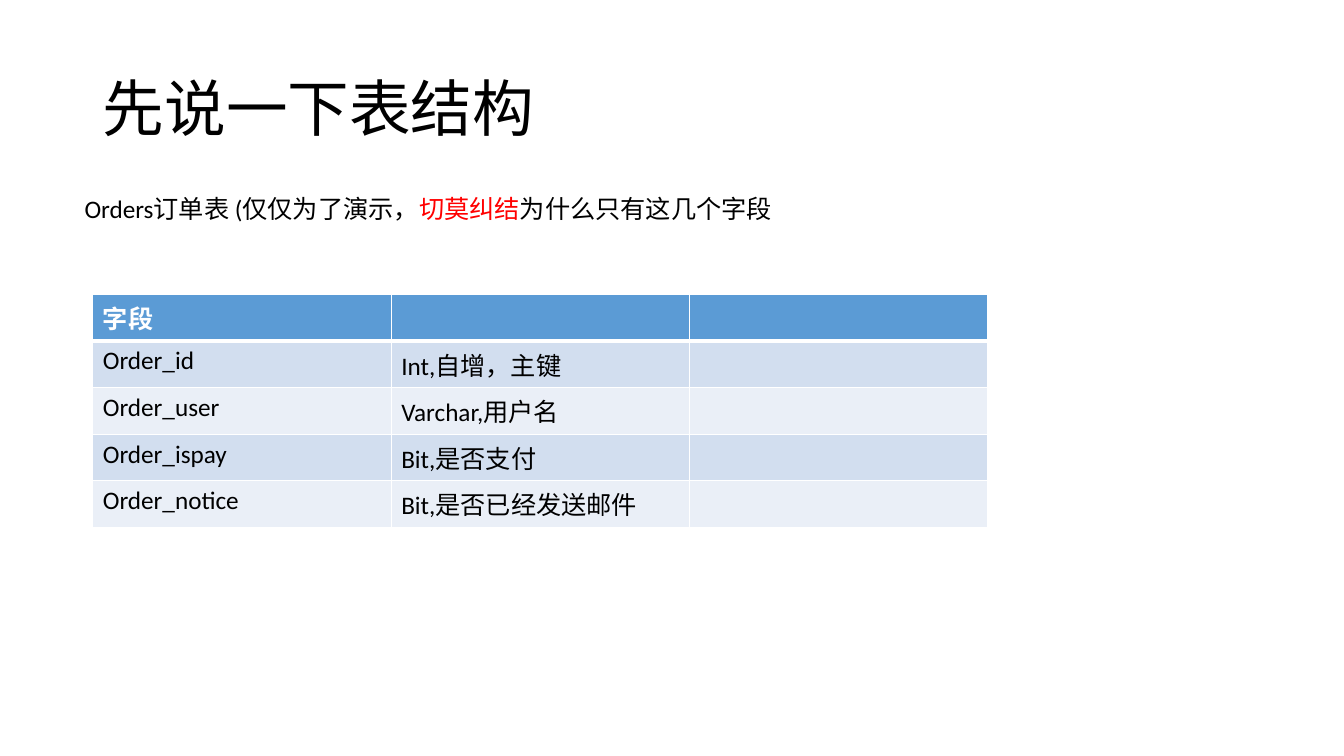
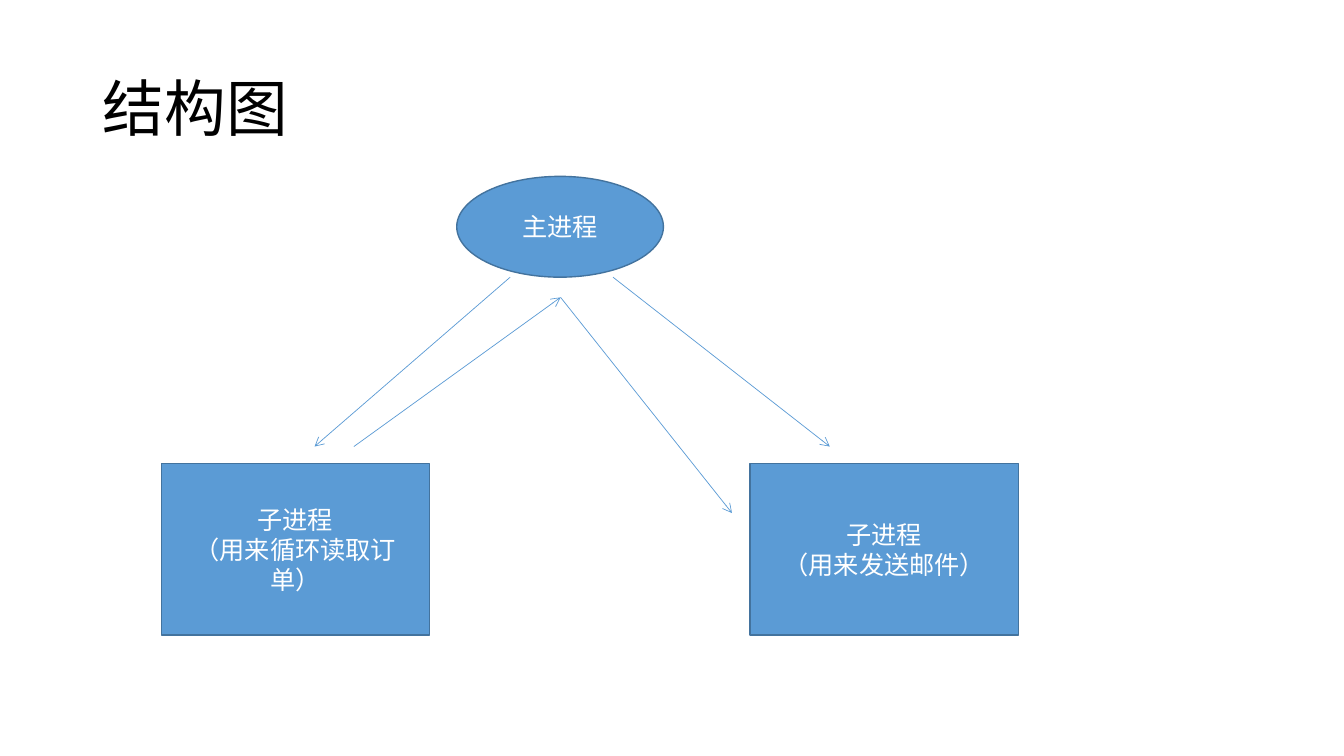
import pptx
import pptx.util
import pptx.dml.color
import pptx.enum.shapes
import pptx.enum.text
import pptx.oxml.ns
import lxml.etree

Inches = pptx.util.Inches
Pt = pptx.util.Pt
Shape = pptx.enum.shapes.MSO_SHAPE
Align = pptx.enum.text.PP_ALIGN
Anchor = pptx.enum.text.MSO_ANCHOR


def color(name):
    return pptx.dml.color.RGBColor.from_string(Deck.hues[name])


def node(parent, tag, **attrs):
    return lxml.etree.SubElement(parent, pptx.oxml.ns.qn(tag), attrs)


class Deck:
    hues = {"black": "000000", "white": "FFFFFF", "red": "FF0000",
            "blue": "5B9BD5", "edge": "43739E", "dark": "D2DEEF", "light": "EAEFF7"}
    font = "Calibri"

    def __init__(self):
        self.prs = pptx.Presentation()
        self.prs.slide_width = Inches(13.33)
        self.prs.slide_height = Inches(7.5)
        self.slide = None

    def style(self, frame, hue="black", size=18, align=None, bold=False):
        for para in frame.paragraphs:
            if align is not None:
                para.alignment = align
            for run in para.runs:
                run.font.name = self.font
                run.font.size = Pt(size)
                run.font.bold = bold
                run.font.color.rgb = color(hue)

    def page(self, text):
        # Title Only layout
        self.slide = self.prs.slides.add_slide(self.prs.slide_layouts[5])
        title = self.slide.shapes.title
        title.left, title.top = Inches(0.92), Inches(0.38)
        title.width, title.height = Inches(11.5), Inches(1.45)
        frame = title.text_frame
        frame.text = text
        frame.vertical_anchor = Anchor.MIDDLE
        frame.paragraphs[0].line_spacing = 0.9
        self.style(frame, size=44, align=Align.JUSTIFY)

    def note(self, x, y, w, h, parts):
        box = self.slide.shapes.add_textbox(Inches(x), Inches(y), Inches(w), Inches(h))
        frame = box.text_frame
        frame.word_wrap = True
        para = frame.paragraphs[0]
        for text, hue in parts:
            para.add_run().text = text
        self.style(frame)
        for run, (text, hue) in zip(para.runs, parts):
            run.font.color.rgb = color(hue)

    def border(self, cell, base):
        props = cell._tc.get_or_add_tcPr()
        for side, width in (("L", 1), ("R", 1), ("T", 1), ("B", base)):
            line = node(props, "a:ln" + side, w=str(Pt(width)))
            node(node(line, "a:solidFill"), "a:srgbClr", val=self.hues["white"])

    def table(self, x, y, w, h, rows, cols):
        grid = self.slide.shapes.add_table(
            len(rows), cols, Inches(x), Inches(y), Inches(w), Inches(h)).table
        for r, row in enumerate(rows):
            head = r == 0
            fill = "blue" if head else ("light", "dark")[r % 2]
            for c in range(cols):
                cell = grid.cell(r, c)
                self.border(cell, 3 if head else 1)
                cell.fill.solid()
                cell.fill.fore_color.rgb = color(fill)
                if c < len(row):
                    cell.text_frame.text = row[c]
                    self.style(cell.text_frame, "white" if head else "black", bold=head)

    def block(self, kind, x, y, w, h, text):
        shape = self.slide.shapes.add_shape(kind, Inches(x), Inches(y), Inches(w), Inches(h))
        shape.shadow.inherit = False
        shape.fill.solid()
        shape.fill.fore_color.rgb = color("blue")
        shape.line.color.rgb = color("edge")
        shape.line.width = Pt(1)
        frame = shape.text_frame
        frame.text = text
        frame.word_wrap = True
        frame.vertical_anchor = Anchor.MIDDLE
        self.style(frame, "white", align=Align.CENTER)

    def arrow(self, start, end):
        line = self.slide.shapes.add_connector(
            pptx.enum.shapes.MSO_CONNECTOR.STRAIGHT, *map(Inches, start + end))
        line.line.color.rgb = color("blue")
        line.line.width = Pt(0.5)
        node(line.line._get_or_add_ln(), "a:tailEnd", type="arrow")
        node(line._element.spPr, "a:effectLst")


deck = Deck()

# Table structure
deck.page("先说一下表结构")
deck.table(0.92, 2.92, 8.88, 2.03, [
    ["字段"],
    ["Order_id", "Int,自增，主键"],
    ["Order_user", "Varchar,用户名"],
    ["Order_ispay", "Bit,是否支付"],
    ["Order_notice", "Bit,是否已经发送邮件"],
], 3)
deck.note(0.74, 1.87, 8.86, 0.4, [
    ("Orders订单表 (仅仅为了演示，", "black"),
    ("切莫纠结", "red"),
    ("为什么只有这几个字段", "black"),
])

# Process diagram
deck.page("结构图")
deck.block(Shape.OVAL, 4.53, 1.75, 2.05, 1, "主进程")
for left, job in ((1.6, "（用来循环读取订单）"), (7.44, "（用来发送邮件）")):
    deck.block(Shape.RECTANGLE, left, 4.6, 2.66, 1.7, "子进程\n" + job)

# Arrows between the processes
hub = (5.56, 2.95)
for start, end in (((5.06, 2.75), (3.12, 4.43)), ((6.08, 2.75), (8.23, 4.43)),
                   ((3.51, 4.43), hub), (hub, (7.26, 5.09))):
    deck.arrow(start, end)

deck.prs.save("out.pptx")
